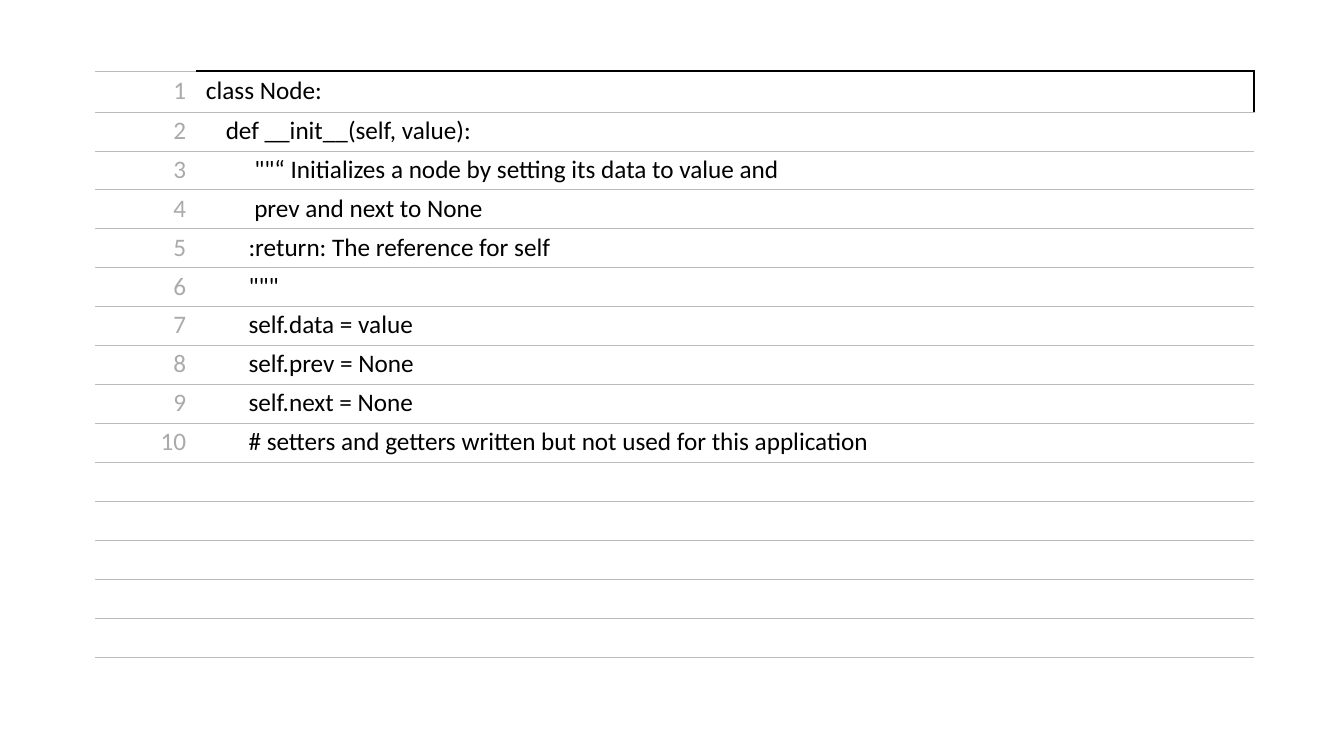
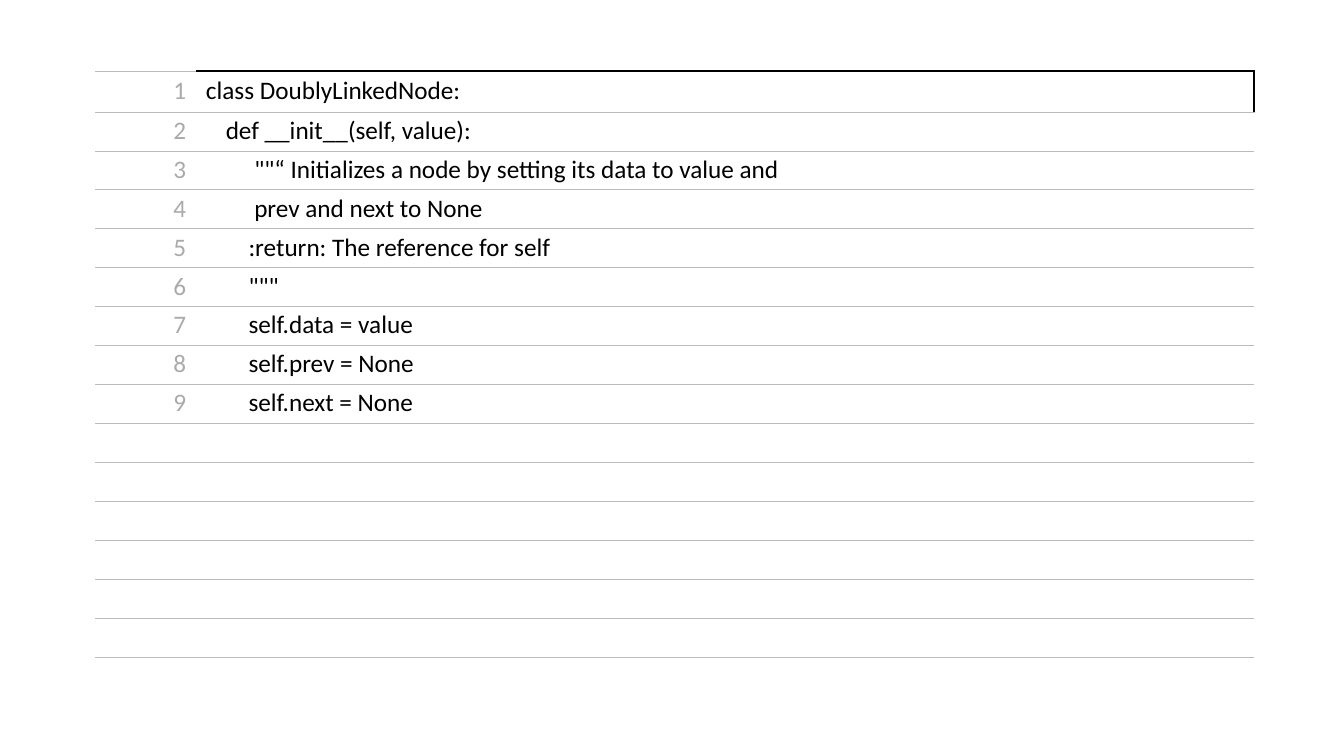
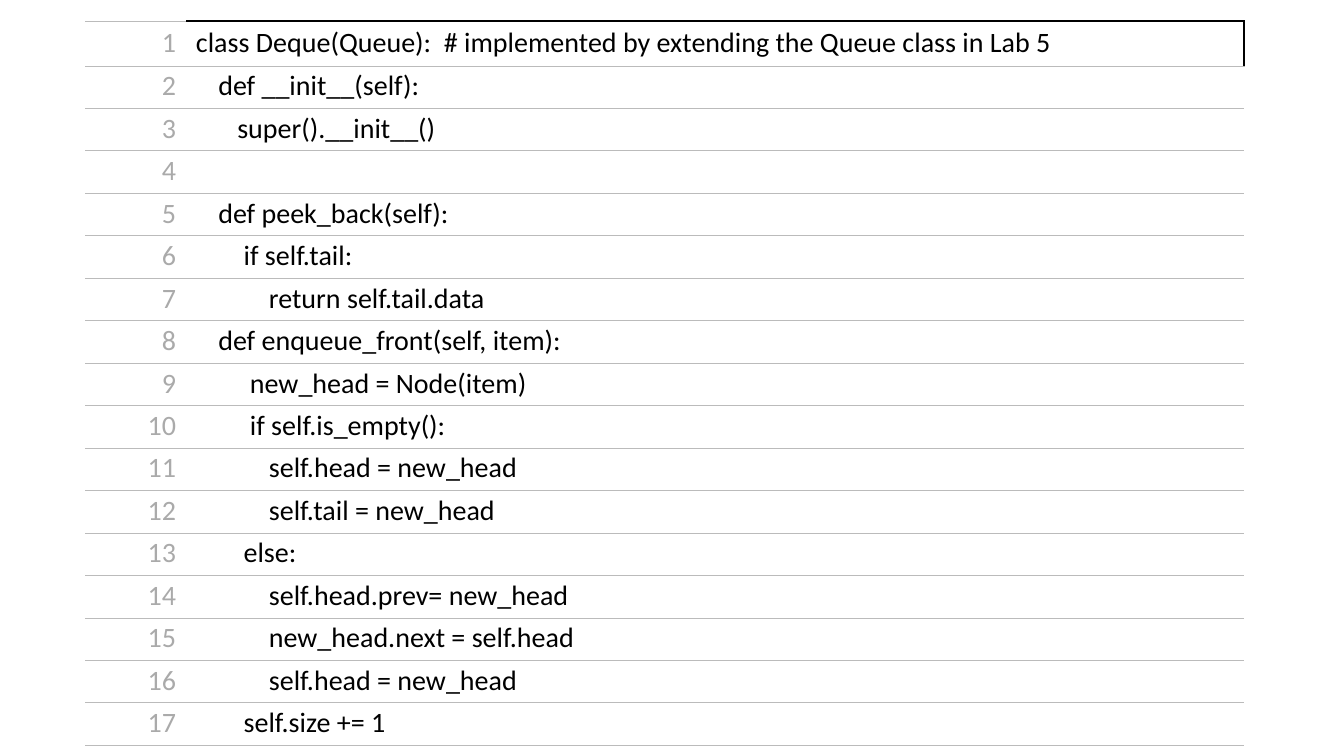
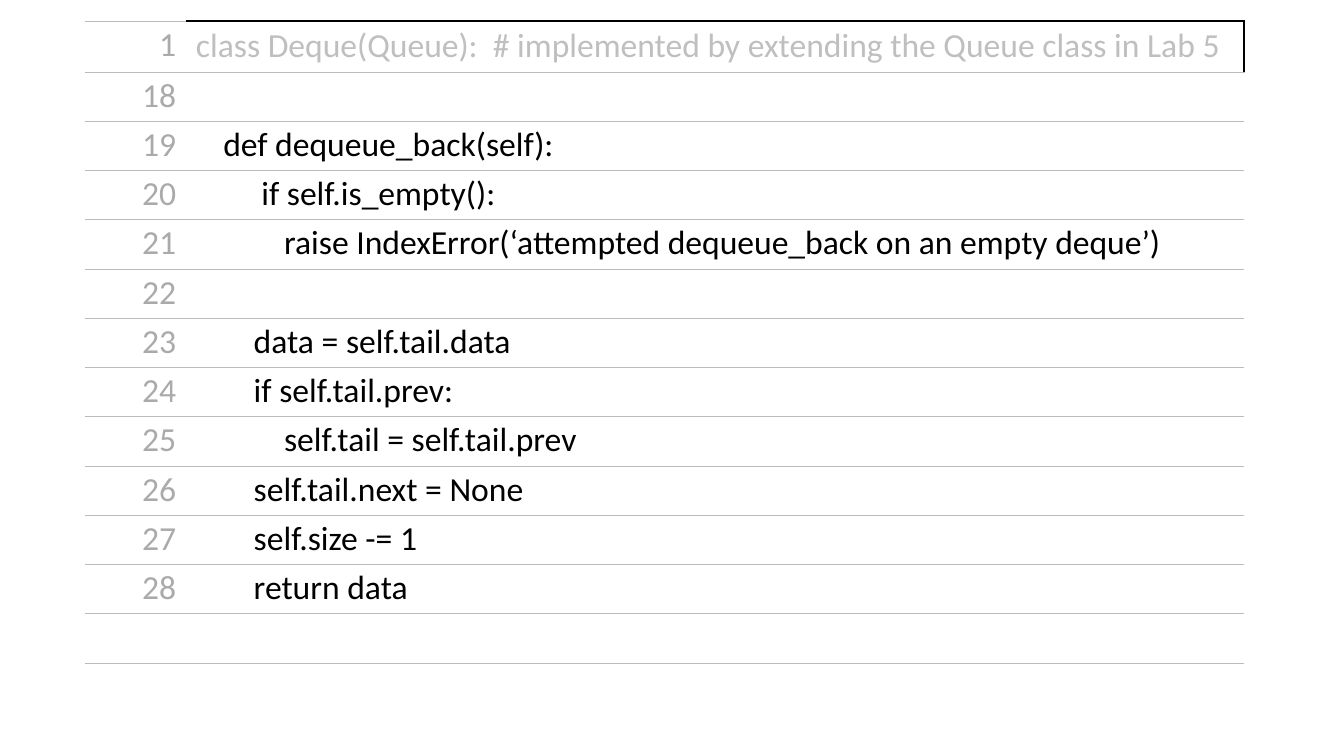
import dataclasses

import pptx
import pptx.dml.color
import pptx.enum.text
import pptx.oxml
import pptx.oxml.ns
import pptx.presentation
import pptx.table
import pptx.util

PIXEL = 914400 / 100.8
FONT = "Calibri"
SPACE_EM = 0.226
WHITE, BLACK = "FFFFFF", "000000"
RULE_GRAY, NUMBER_GRAY, FADED_GRAY = "BBBBBB", "AAAAAA", "BFBFBF"
GUTTER_WIDTH, CODE_WIDTH = 101, 1058
PLAIN_TABLE_STYLE = "{2D5ABB26-0587-4C30-8999-92F81FD0307C}"


@dataclasses.dataclass(frozen=True)
class CodeLine:
    number: int
    text: str = ""
    depth: int = 0


@dataclasses.dataclass(frozen=True)
class Listing:
    left: int
    top: int
    header_height: int
    bottom: int
    font_size: int
    row_count: int
    lines: list[CodeLine]
    header_color: str = BLACK


@dataclasses.dataclass(frozen=True)
class Border:
    side: str
    color: str
    points: float


RULE_BELOW = Border("B", RULE_GRAY, 0.75)
RULE_ABOVE = Border("T", RULE_GRAY, 0.75)
HEADER_FRAME = [Border("R", BLACK, 1), Border("T", BLACK, 1), RULE_BELOW]


def px(pixels: float) -> pptx.util.Emu:
    return pptx.util.Emu(round(pixels * PIXEL))


def rgb(color: str) -> pptx.dml.color.RGBColor:
    return pptx.dml.color.RGBColor.from_string(color)


def set_borders(cell: pptx.table._Cell, borders: list[Border]) -> None:
    properties = cell._tc.get_or_add_tcPr()
    namespace = pptx.oxml.ns.nsdecls("a")
    for border in borders:
        properties.append(pptx.oxml.parse_xml(
            f'<a:ln{border.side} {namespace} w="{pptx.util.Pt(border.points)}">'
            f'<a:solidFill><a:srgbClr val="{border.color}"/></a:solidFill>'
            f'</a:ln{border.side}>'))


def style_cell(cell: pptx.table._Cell, borders: list[Border]) -> None:
    set_borders(cell, borders)
    cell.fill.solid()
    cell.fill.fore_color.rgb = rgb(WHITE)
    cell.vertical_anchor = pptx.enum.text.MSO_ANCHOR.MIDDLE
    cell.margin_left, cell.margin_right = px(7), px(10)
    cell.margin_top, cell.margin_bottom = px(3), px(5)


def style_header(cell: pptx.table._Cell) -> None:
    set_borders(cell, HEADER_FRAME)
    cell.fill.background()
    cell.margin_left = cell.margin_right = px(10)
    cell.margin_top = cell.margin_bottom = px(5)


def write(cell: pptx.table._Cell, text: str, size: int, color: str, depth: int = 0) -> None:
    paragraph = cell.text_frame.paragraphs[0]
    paragraph.text = text
    if depth:
        indent = pptx.util.Pt(depth * SPACE_EM * size)
        paragraph._p.get_or_add_pPr().set("marL", str(indent))
    for run in paragraph.runs:
        run.font.name = FONT
        run.font.size = pptx.util.Pt(size)
        run.font.color.rgb = rgb(color)


def add_listing(presentation: pptx.presentation.Presentation, listing: Listing) -> None:
    slide = presentation.slides.add_slide(presentation.slide_layouts[6])
    table = slide.shapes.add_table(
        listing.row_count, 2, px(listing.left), px(listing.top),
        px(GUTTER_WIDTH + CODE_WIDTH), px(listing.bottom - listing.top)).table
    table.first_row = table.horz_banding = False
    table._tbl.tblPr.find(pptx.oxml.ns.qn("a:tableStyleId")).text = PLAIN_TABLE_STYLE
    table.columns[0].width, table.columns[1].width = px(GUTTER_WIDTH), px(CODE_WIDTH)
    body_height = listing.bottom - listing.top - listing.header_height
    row_height = body_height / (listing.row_count - 1)

    for index, row in enumerate(table.rows):
        number_cell, code_cell = row.cells
        if index == 0:
            row.height = px(listing.header_height)
            style_cell(number_cell, [RULE_ABOVE, RULE_BELOW])
            style_header(code_cell)
        else:
            row.height = px(row_height)
            style_cell(number_cell, [RULE_BELOW])
            style_cell(code_cell, [RULE_BELOW])
        if index < len(listing.lines):
            line = listing.lines[index]
            code_color = BLACK if index else listing.header_color
            write(number_cell, str(line.number), listing.font_size, NUMBER_GRAY)
            number_cell.text_frame.paragraphs[0].alignment = pptx.enum.text.PP_ALIGN.RIGHT
            if line.text:
                write(code_cell, line.text, listing.font_size, code_color, line.depth)


NODE_BODY = [
    CodeLine(2, "def __init__(self, value):", 4),
    CodeLine(3, '""“ Initializes a node by setting its data to value and', 9),
    CodeLine(4, "prev and next to None", 9),
    CodeLine(5, ":return: The reference for self", 8),
    CodeLine(6, '"""', 8),
    CodeLine(7, "self.data = value", 8),
    CodeLine(8, "self.prev = None", 8),
    CodeLine(9, "self.next = None", 8),
]
SETTERS_REMARK = CodeLine(10, "# setters and getters written but not used for this application", 8)
DEQUE_HEADER = CodeLine(1, "class Deque(Queue):  # implemented by extending the Queue class in Lab 5")
DEQUE_FRONT = [
    DEQUE_HEADER,
    CodeLine(2, "def __init__(self):", 4),
    CodeLine(3, "super().__init__()", 7),
    CodeLine(4),
    CodeLine(5, "def peek_back(self):", 4),
    CodeLine(6, "if self.tail:", 8),
    CodeLine(7, "return self.tail.data", 12),
    CodeLine(8, "def enqueue_front(self, item):", 4),
    CodeLine(9, "new_head = Node(item)", 9),
    CodeLine(10, "if self.is_empty():", 9),
    CodeLine(11, "self.head = new_head", 12),
    CodeLine(12, "self.tail = new_head", 12),
    CodeLine(13, "else:", 8),
    CodeLine(14, "self.head.prev= new_head", 12),
    CodeLine(15, "new_head.next = self.head", 12),
    CodeLine(16, "self.head = new_head", 12),
    CodeLine(17, "self.size += 1", 8),
]
DEQUE_BACK = [
    DEQUE_HEADER,
    CodeLine(18),
    CodeLine(19, "def dequeue_back(self):", 4),
    CodeLine(20, "if self.is_empty():", 9),
    CodeLine(21, "raise IndexError(‘attempted dequeue_back on an empty deque’)", 12),
    CodeLine(22),
    CodeLine(23, "data = self.tail.data", 8),
    CodeLine(24, "if self.tail.prev:", 8),
    CodeLine(25, "self.tail = self.tail.prev", 12),
    CodeLine(26, "self.tail.next = None", 8),
    CodeLine(27, "self.size -= 1", 8),
    CodeLine(28, "return data", 8),
]


def node_listing(lines: list[CodeLine]) -> Listing:
    return Listing(95, 71, 41, 658, 18, 15, lines)


LISTINGS = [
    node_listing([CodeLine(1, "class Node:"), *NODE_BODY, SETTERS_REMARK]),
    node_listing([CodeLine(1, "class DoublyLinkedNode:"), *NODE_BODY]),
    Listing(85, 21, 45, 746, 20, 17, DEQUE_FRONT),
    Listing(85, 21, 51, 663, 24, 13, DEQUE_BACK, FADED_GRAY),
]


def main() -> None:
    presentation = pptx.Presentation()
    presentation.slide_width, presentation.slide_height = px(1344), px(756)
    for listing in LISTINGS:
        add_listing(presentation, listing)
    presentation.save("out.pptx")


main()
